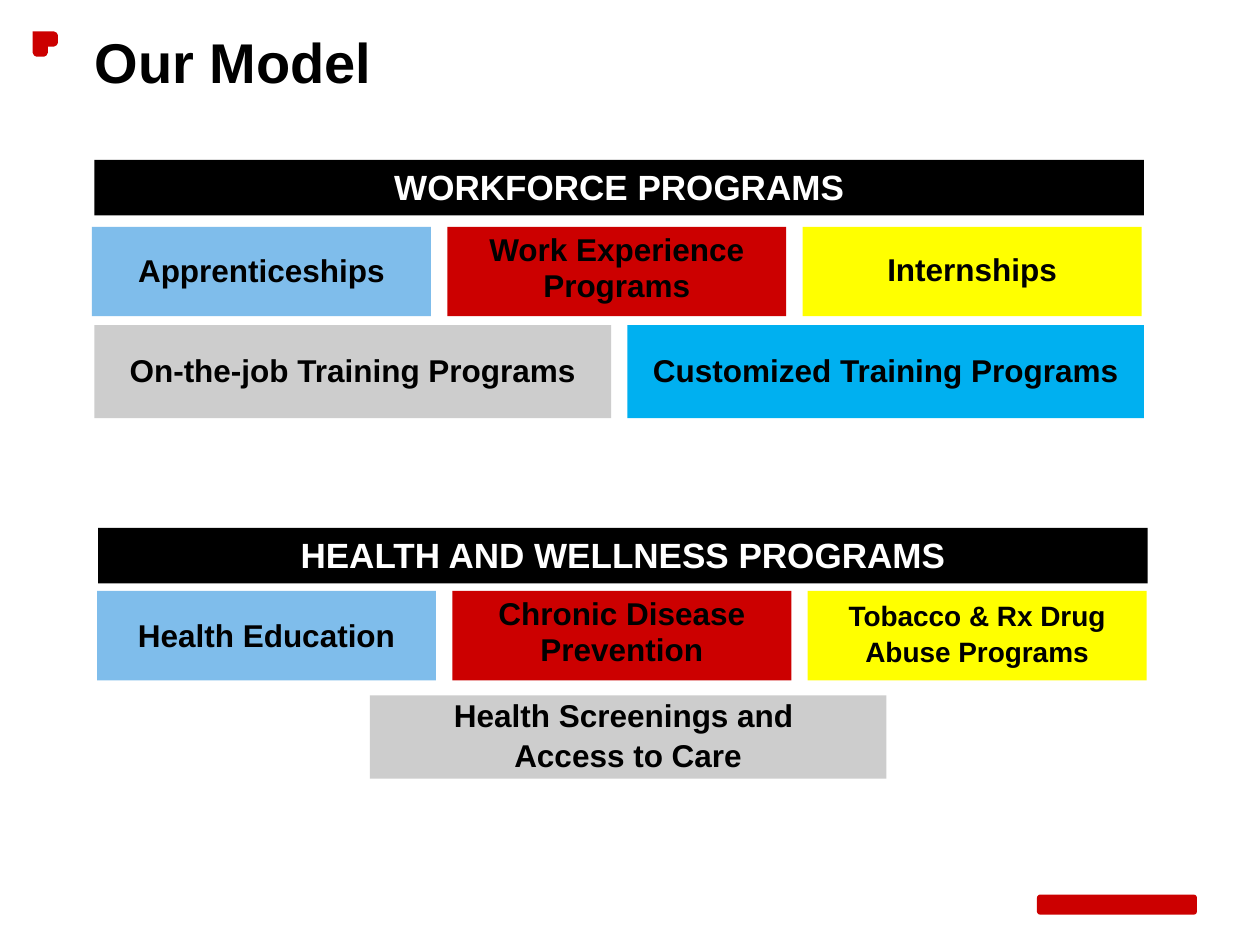
from dataclasses import dataclass

from pptx import Presentation
from pptx.dml.color import RGBColor
from pptx.enum.shapes import MSO_SHAPE as Shape
from pptx.enum.text import MSO_ANCHOR as Anchor, MSO_AUTO_SIZE as AutoSize, PP_ALIGN as Align
from pptx.util import Inches, Pt


@dataclass(frozen=True)
class Theme:
    """Colours, type sizes and spacing of the slide."""
    font: str = "Arial"
    black: str = "000000"
    white: str = "FFFFFF"
    red: str = "CC0000"
    yellow: str = "FFFF00"
    sky: str = "7FBDEB"
    blue: str = "00B0F0"
    grey: str = "CDCDCD"
    title: int = 32
    heading: int = 20
    body: int = 18
    small: int = 16
    tight: float = 0.95
    airy: float = 1.05
    loose: float = 1.1


@dataclass(frozen=True)
class Tile:
    """Wording and look of one block."""
    text: str
    fill: str
    size: int
    spacing: float
    color: str = Theme.black


def assign(target, values):
    """Set each named attribute on the target."""
    for name, value in values.items():
        setattr(target, name, value)


class SlideBuilder:
    """Draws on a grid of 100 columns by 75 rows."""
    COLUMNS, ROWS = 100, 75
    WIDTH, GAP = 83.3, 1.3

    def __init__(self, deck, theme):
        """Add a title-only slide to the deck."""
        self.theme = theme
        self.column = deck.slide_width / self.COLUMNS
        self.line = deck.slide_height / self.ROWS
        self.page = deck.slides.add_slide(deck.slide_layouts[5])

    def area(self, left, top, width, height):
        """Turn grid units into a position and size."""
        return (round(left * self.column), round(top * self.line),
                round(width * self.column), round(height * self.line))

    def label(self, box, text, size, color, spacing, align, insets):
        """Fill a shape with formatted paragraphs."""
        frame = box.text_frame
        sides = ("margin_left", "margin_top", "margin_right", "margin_bottom")
        assign(frame, {"word_wrap": True, "auto_size": AutoSize.NONE,
                       "vertical_anchor": Anchor.MIDDLE,
                       **{side: Inches(inset) for side, inset in zip(sides, insets)}})
        for index, wording in enumerate(text.split("\n")):
            para = frame.add_paragraph() if index else frame.paragraphs[0]
            assign(para, {"alignment": align, "line_spacing": spacing,
                          "space_before": Pt(0), "space_after": Pt(0)})
            span = para.add_run()
            span.text = wording
            assign(span.font, {"name": self.theme.font, "size": Pt(size), "bold": True})
            span.font.color.rgb = RGBColor.from_string(color)

    def paint(self, box, fill):
        """Give a shape a flat fill with no line or shadow."""
        box.shadow.inherit = False
        box.fill.solid()
        box.fill.fore_color.rgb = RGBColor.from_string(fill)
        box.line.fill.background()

    def title(self, text, *place):
        """Move and format the title placeholder."""
        box = self.page.shapes.title
        names = ("left", "top", "width", "height")
        assign(box, dict(zip(names, self.area(*place))))
        self.label(box, text, self.theme.title, self.theme.black, 0.9,
                   Align.LEFT, (0, 0, 0.1, 0))

    def block(self, kind, fill, *place):
        """Add a plain coloured shape."""
        box = self.page.shapes.add_shape(kind, *self.area(*place))
        self.paint(box, fill)
        return box

    def outline(self, points, fill):
        """Add a closed polygon."""
        corners = [self.area(*point, 0, 0)[:2] for point in points]
        pen = self.page.shapes.build_freeform(*corners[0])
        pen.add_line_segments(corners[1:], close=True)
        self.paint(pen.convert_to_shape(), fill)

    def row(self, left, top, height, tiles, share=None):
        """Lay out tiles in equal shares of the row, centred as a group."""
        share = share or len(tiles)
        width = (self.WIDTH - self.GAP * (share - 1)) / share
        step = width + self.GAP
        start = left + (share - len(tiles)) * step / 2
        for index, tile in enumerate(tiles):
            box = self.block(Shape.RECTANGLE, tile.fill, start + index * step, top, width, height)
            self.label(box, tile.text, tile.size, tile.color, tile.spacing,
                       Align.CENTER, (0.2, 0.1, 0.2, 0.15))

    def heading(self, left, top, text):
        """Add a full-width heading bar."""
        theme = self.theme
        self.row(left, top, 4.4,
                 [Tile(text, theme.black, theme.heading, theme.loose, theme.white)])


def main():
    """Build and save the slide."""
    deck = Presentation()
    assign(deck, {"slide_width": Inches(10), "slide_height": Inches(7.5)})
    theme = Theme()
    slide = SlideBuilder(deck, theme)

    slide.outline([(2.6, 2.5), (4.3, 2.5), (4.5, 2.6), (4.6, 2.8), (4.6, 3.4), (4.5, 3.6),
                   (4.3, 3.7), (3.8, 3.7), (3.8, 4.2), (3.7, 4.4), (3.5, 4.5), (2.9, 4.5),
                   (2.7, 4.4), (2.6, 4.2)], theme.red)
    slide.block(Shape.ROUNDED_RECTANGLE, theme.red, 82.3, 71, 12.7, 1.6)
    slide.title("Our Model", 7.5, 2.6, 85, 5.2)

    slide.heading(7.5, 12.7, "WORKFORCE PROGRAMS")
    slide.row(7.3, 18, 7.1, [
        Tile("Apprenticeships", theme.sky, theme.body, theme.loose),
        Tile("Work Experience Programs", theme.red, theme.body, theme.tight),
        Tile("Internships", theme.yellow, theme.body, theme.airy)])
    slide.row(7.5, 25.8, 7.4, [
        Tile("On-the-job Training Programs", theme.grey, theme.body, theme.airy),
        Tile("Customized Training Programs", theme.blue, theme.body, theme.airy)])

    slide.heading(7.8, 41.9, "HEALTH AND WELLNESS PROGRAMS")
    slide.row(7.7, 46.9, 7.1, [
        Tile("Health Education", theme.sky, theme.body, theme.loose),
        Tile("Chronic Disease Prevention", theme.red, theme.body, theme.tight),
        Tile("Tobacco & Rx Drug Abuse Programs", theme.yellow, theme.small, theme.airy)])
    slide.row(8.2, 55.2, 6.6, [
        Tile("Health Screenings and \nAccess to Care", theme.grey, theme.body, theme.airy)],
        share=2)

    deck.save("out.pptx")


if __name__ == "__main__":
    main()
